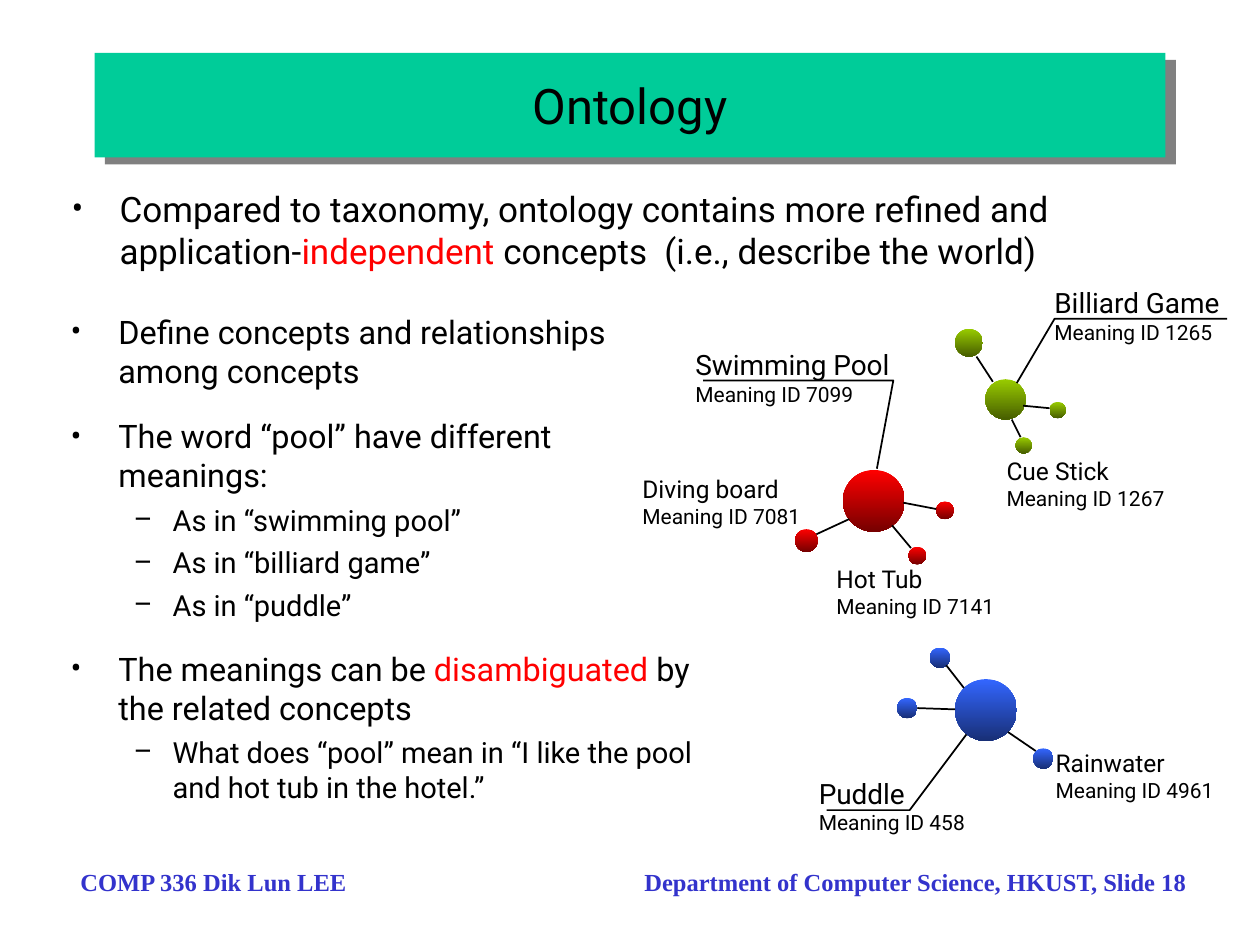
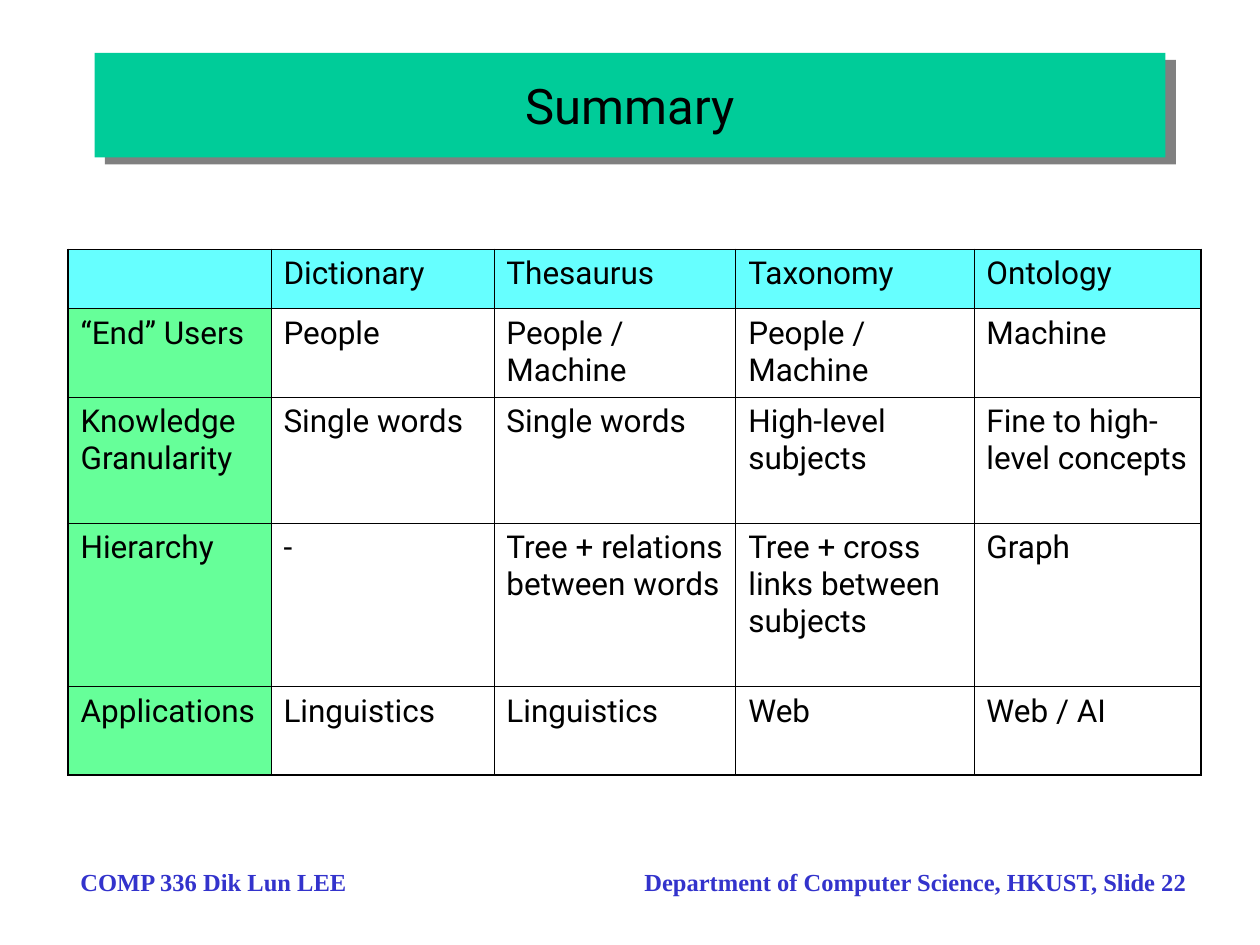
from lxml import etree
from pptx import Presentation
from pptx.dml.color import RGBColor
from pptx.enum.dml import MSO_FILL
from pptx.enum.shapes import MSO_CONNECTOR, MSO_SHAPE
from pptx.enum.text import MSO_ANCHOR, MSO_AUTO_SIZE, PP_ALIGN
from pptx.oxml import parse_xml
from pptx.oxml.ns import nsdecls, qn
from pptx.util import Inches, Pt

COLORS = {
    "text": "000000", "emphasis": "FF0000", "band": "00CC99", "shadow": "808080",
    "footer": "3333CC", "header_cell": "66FFFF", "row_label": "66FF99", "cell": "FFFFFF",
    "blue": "3366FF", "blue_dark": "182F76", "red": "FF0000", "red_dark": "760000",
    "green": "99CC00", "green_dark": "475E00",
}
BODY_FONT = "Roboto"
FOOTER_FONT = "Times New Roman"
LEVELS = [
    {"bullet": "•", "left": 0.38, "hang": 0.38, "before": 15, "size": 18.5},
    {"bullet": "–", "left": 0.81, "hang": 0.31, "before": 4.5, "size": 16.6},
]

INTRODUCTION = [(0, "Compared to taxonomy, ontology contains more refined and "
                    "application-*independent* concepts  (i.e., describe the world)")]
POINTS = [
    (0, "Define concepts and relationships among concepts"),
    (0, "The word “pool” have different meanings:"),
    (1, "As in “swimming pool”"),
    (1, "As in “billiard game”"),
    (1, "As in “puddle”"),
    (0, "The meanings can be *disambiguated* by the related concepts"),
    (1, "What does “pool” mean in “I like the pool and hot tub in the hotel.”"),
]

CLUSTERS = [
    {
        "color": "blue",
        "nodes": [(7.58, 5.39, 0.49), (8.2, 5.94, 0.16), (7.38, 5.14, 0.16), (7.12, 5.54, 0.16)],
        "links": [(8, 5.81, 8.22, 5.96), (7.58, 5.63, 7.28, 5.62), (7.65, 5.46, 7.51, 5.28)],
        "callout": [(6.56, 6.43), (7.22, 6.43), (7.67, 5.83)],
        "labels": [("Puddle", 458, 16, 6.4, 6.11, 1.44), ("Rainwater", 4961, 14, 8.28, 5.89, 1.53)],
    },
    {
        "color": "red",
        "nodes": [(6.69, 3.73, 0.49), (7.21, 4.34, 0.14), (7.43, 3.98, 0.14), (6.31, 4.2, 0.18)],
        "links": [(6.48, 4.24, 6.74, 4.12), (7.23, 4.35, 7.08, 4.17), (7.43, 4.04, 7.17, 3.99)],
        "callout": [(5.58, 3.02), (7.09, 3.02), (6.96, 3.72)],
        "labels": [("Swimming Pool", 7099, 16, 5.42, 2.71, 1.81),
                   ("Diving board", 7081, 14, 5, 3.71, 1.53),
                   ("Hot Tub", 7141, 14, 6.54, 4.43, 1.53)],
    },
    {
        "color": "green",
        "nodes": [(7.82, 3.01, 0.32), (8.33, 3.19, 0.13), (8.06, 3.47, 0.13), (7.58, 2.61, 0.22)],
        "links": [(7.75, 2.83, 7.88, 3.03), (8.1, 3.47, 8.03, 3.33), (8.33, 3.24, 8.12, 3.22)],
        "callout": [(9.74, 2.53), (8.37, 2.53), (8.07, 3.04)],
        "labels": [("Cue Stick", 1267, 14, 7.89, 3.57, 1.53),
                   ("Billiard Game", 1265, 16, 8.27, 2.22, 1.6)],
    },
]

COLUMN_WIDTHS = [1.61, 1.77, 1.92, 1.89, 1.8]
ROW_HEIGHTS = [0.47, 0.7, 1, 1.3, 0.7]
COMPARISON = [
    ["", "Dictionary", "Thesaurus", "Taxonomy", "Ontology"],
    ["“End” Users", "People", "People / Machine", "People / Machine", "Machine"],
    ["Knowledge Granularity", "Single words", "Single words", "High-level subjects",
     "Fine to high-level concepts"],
    ["Hierarchy", "-", "Tree + relations between words",
     "Tree + cross links between subjects", "Graph"],
    ["Applications", "Linguistics", "Linguistics", "Web", "Web / AI"],
]


def rgb(name):
    return RGBColor.from_string(COLORS[name])


def format_runs(paragraph, size, color="text", font=BODY_FONT, bold=False):
    for run in paragraph.runs:
        run.font.size = Pt(size)
        run.font.name = font
        run.font.bold = bold
        run.font.color.rgb = rgb(color)


def place(shape, left, top, width, height):
    shape.left, shape.top = Inches(left), Inches(top)
    shape.width, shape.height = Inches(width), Inches(height)


def add_text_box(shapes, left, top, width, height, wrap=True):
    box = shapes.add_textbox(Inches(left), Inches(top), Inches(width), Inches(height))
    box.text_frame.word_wrap = wrap
    return box.text_frame


def add_title(slide, text):
    title = slide.shapes.title
    place(title, 0.75, 0.42, 8.5, 0.83)
    title.fill.solid()
    title.fill.fore_color.rgb = rgb("band")
    title._element.spPr.append(parse_xml(
        f'<a:effectLst {nsdecls("a")}><a:outerShdw dist="91440" dir="2040000" algn="ctr" '
        f'rotWithShape="0"><a:srgbClr val="{COLORS["shadow"]}"/></a:outerShdw></a:effectLst>'))
    frame = title.text_frame
    frame.text = text
    frame.auto_size = MSO_AUTO_SIZE.NONE
    frame.vertical_anchor = MSO_ANCHOR.MIDDLE
    frame.paragraphs[0].alignment = PP_ALIGN.CENTER
    format_runs(frame.paragraphs[0], 28)


def add_footer(slide, number):
    frame = add_text_box(slide.shapes, 0.54, 6.83, 9.04, 0.5)
    paragraph = frame.paragraphs[0]
    paragraph.text = f"COMP 336 Dik Lun LEE\tDepartment of Computer Science, HKUST, Slide {number}"
    tabs = etree.SubElement(paragraph._p.get_or_add_pPr(), qn("a:tabLst"))
    etree.SubElement(tabs, qn("a:tab"), pos=str(Inches(8.78)), algn="r")
    format_runs(paragraph, 14, "footer", FOOTER_FONT, True)


def set_bullet(paragraph, style):
    properties = paragraph._p.get_or_add_pPr()
    properties.set("marL", str(Inches(style["left"])))
    properties.set("indent", str(-Inches(style["hang"])))
    color = etree.SubElement(properties, qn("a:buClr"))
    etree.SubElement(color, qn("a:srgbClr"), val=COLORS["text"])
    etree.SubElement(properties, qn("a:buFont"), typeface=BODY_FONT)
    etree.SubElement(properties, qn("a:buChar"), char=style["bullet"])


def fill_list(frame, items, size=None):
    frame.auto_size = MSO_AUTO_SIZE.NONE
    for index, (level, text) in enumerate(items):
        paragraph = frame.add_paragraph() if index else frame.paragraphs[0]
        style = LEVELS[level]
        paragraph.level = level
        set_bullet(paragraph, style)
        paragraph.space_before = Pt(style["before"] if index else 0)
        for part in text.split("*"):
            paragraph.add_run().text = part
        format_runs(paragraph, size or style["size"])
        for run in paragraph.runs[1::2]:
            run.font.color.rgb = rgb("emphasis")


def add_node(shapes, left, top, diameter, color):
    node = shapes.add_shape(MSO_SHAPE.OVAL, Inches(left), Inches(top),
                            Inches(diameter), Inches(diameter))
    node.shadow.inherit = False
    node.line.fill.background()
    node.fill.gradient()
    node.fill.gradient_angle = 270
    for stop, name in zip(node.fill.gradient_stops, (color, color + "_dark")):
        stop.color.rgb = rgb(name)


def set_line(shape):
    shape.line.color.rgb = rgb("text")
    shape.line.width = Pt(1)


def add_link(shapes, *ends):
    link = shapes.add_connector(MSO_CONNECTOR.STRAIGHT, *map(Inches, ends))
    set_line(link)
    etree.SubElement(link._element.spPr, qn("a:effectLst"))


def add_callout(shapes, points):
    corners = [(Inches(x), Inches(y)) for x, y in points]
    builder = shapes.build_freeform(*corners[0])
    builder.add_line_segments(corners[1:], close=False)
    callout = builder.convert_to_shape()
    callout.fill.background()
    callout.shadow.inherit = False
    set_line(callout)


def add_label(shapes, concept, meaning, size, left, top, width):
    frame = add_text_box(shapes, left, top, width, 0.55, wrap=False)
    frame.text = f"{concept}\nMeaning ID {meaning}"
    for paragraph, points in zip(frame.paragraphs, (size, 12)):
        format_runs(paragraph, points)


def add_cluster(slide, cluster):
    shapes = slide.shapes.add_group_shape().shapes
    for node in cluster["nodes"]:
        add_node(shapes, *node, cluster["color"])
    for link in cluster["links"]:
        add_link(shapes, *link)
    add_callout(shapes, cluster["callout"])
    for label in cluster["labels"]:
        add_label(shapes, *label)


def set_borders(cell, outer_sides):
    properties = cell._tc.get_or_add_tcPr()
    for index, side in enumerate("LRTB"):
        width = Pt(1.08 if side in outer_sides else 0.45)
        properties.insert(index, parse_xml(
            f'<a:ln{side} {nsdecls("a")} w="{width}"><a:solidFill>'
            f'<a:srgbClr val="{COLORS["text"]}"/></a:solidFill></a:ln{side}>'))


def add_comparison(slide):
    last_row, last_column = len(ROW_HEIGHTS) - 1, len(COLUMN_WIDTHS) - 1
    table = slide.shapes.add_table(
        len(ROW_HEIGHTS), len(COLUMN_WIDTHS), Inches(0.54), Inches(1.98),
        Inches(sum(COLUMN_WIDTHS)), Inches(sum(ROW_HEIGHTS))).table
    table.first_row = table.horz_banding = False
    for column, width in zip(table.columns, COLUMN_WIDTHS):
        column.width = Inches(width)
    for row, height in zip(table.rows, ROW_HEIGHTS):
        row.height = Inches(height)
    for row, texts in enumerate(COMPARISON):
        for column, text in enumerate(texts):
            cell = table.cell(row, column)
            cell.text = text
            format_runs(cell.text_frame.paragraphs[0], 18)
            cell.fill.solid()
            name = "header_cell" if row == 0 else "row_label" if column == 0 else "cell"
            cell.fill.fore_color.rgb = rgb(name)
            edges = {"L": column == 0, "R": column == last_column,
                     "T": row == 0, "B": row == last_row}
            set_borders(cell, [side for side, outer in edges.items() if outer])


def add_slide(presentation, layout, title, number):
    slide = presentation.slides.add_slide(presentation.slide_layouts[layout])
    add_footer(slide, number)
    add_title(slide, title)
    return slide


def main():
    presentation = Presentation()
    presentation.slide_width, presentation.slide_height = Inches(10), Inches(7.5)

    ontology = add_slide(presentation, 1, "Ontology", 18)
    body = ontology.placeholders[1]
    place(body, 0.46, 2.43, 5.16, 4.42)
    fill_list(body.text_frame, POINTS)
    for cluster in CLUSTERS:
        add_cluster(ontology, cluster)
    fill_list(add_text_box(ontology.shapes, 0.47, 1.44, 8.88, 0.87), INTRODUCTION, 20)

    summary = add_slide(presentation, 5, "Summary", 22)
    add_comparison(summary)
    presentation.save("out.pptx")


if __name__ == "__main__":
    main()
